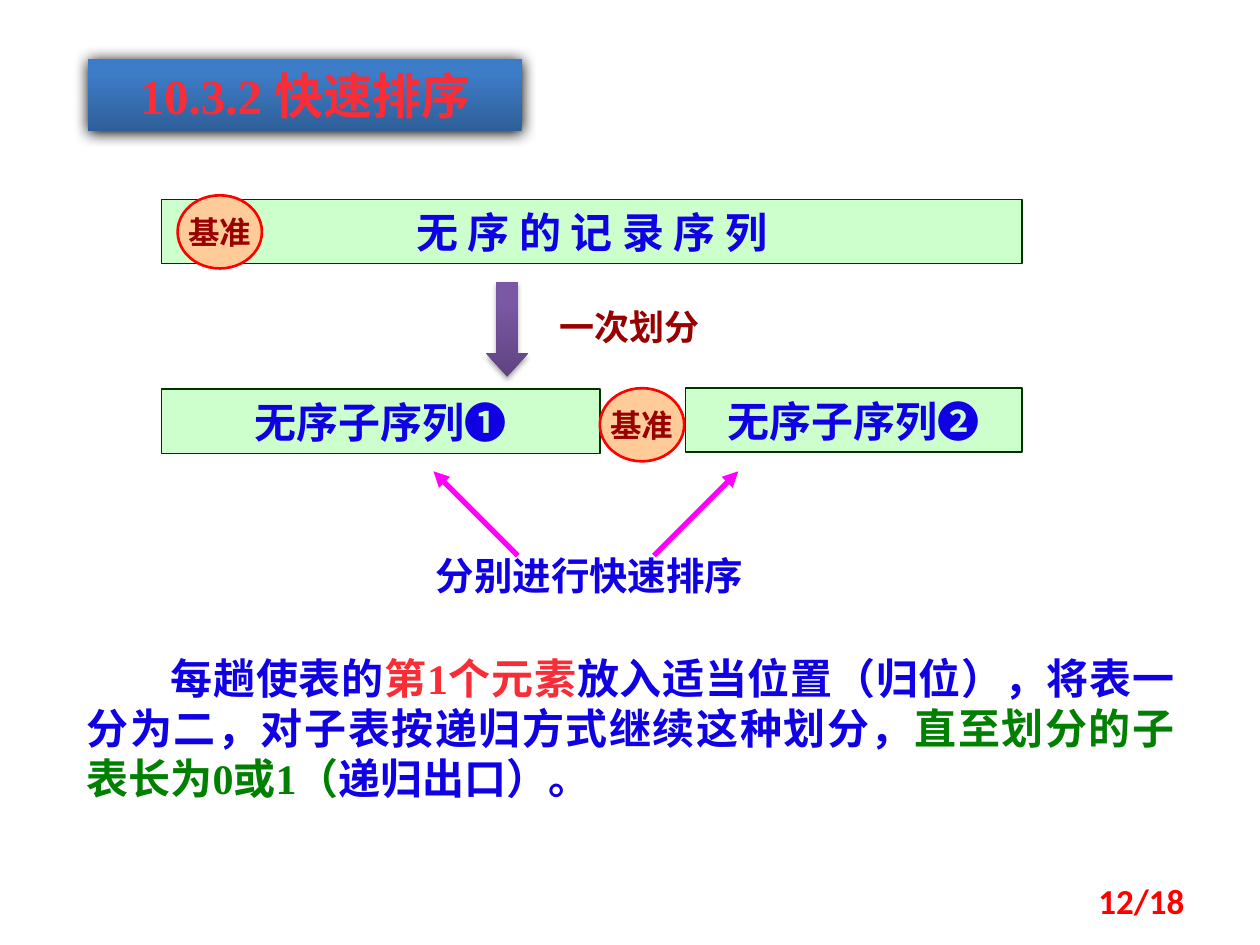
from lxml import etree
from pptx import Presentation
from pptx.dml.color import RGBColor
from pptx.enum.shapes import MSO_CONNECTOR, MSO_SHAPE
from pptx.enum.text import MSO_ANCHOR, PP_ALIGN
from pptx.oxml.ns import qn
from pptx.util import Pt

RECT, OVAL, DOWN = MSO_SHAPE.RECTANGLE, MSO_SHAPE.OVAL, MSO_SHAPE.DOWN_ARROW
LEFT, CENTER, RIGHT, JUSTIFY = (
    PP_ALIGN.LEFT, PP_ALIGN.CENTER, PP_ALIGN.RIGHT, PP_ALIGN.JUSTIFY)
TOP, MIDDLE = MSO_ANCHOR.TOP, MSO_ANCHOR.MIDDLE
SERIF, CJK, SANS = "Times New Roman", "Noto Sans CJK SC", "Calibri"
COLORS = {
    "text": "1000E4", "accent": "F92D37", "exit": "008000", "label": "990000",
    "sequence": "CCFFCC", "sequence_line": "003300",
    "pivot": "FFCC99", "pivot_line": "FF0000",
    "pointer": "FF00FF", "page": "FF0000", "shadow": "000000",
}
BLUE_STOPS = [(0, "2F5F99"), (80, "3D7CC7"), (100, "3A7CCB")]
PURPLE_STOPS = [(0, "5F4480"), (80, "7B58A6"), (100, "7C57A8")]


def rgb(name):
    return RGBColor.from_string(COLORS[name])


def write(shape, text, size=24, color="text", font=SERIF, align=CENTER,
          anchor=MIDDLE, wrap=True, inset=(7.2, 3.6)):
    """Write a string, or a list of (string, colour name) runs, in one paragraph."""
    frame = shape.text_frame
    frame.word_wrap, frame.vertical_anchor = wrap, anchor
    frame.margin_left = frame.margin_right = Pt(inset[0])
    frame.margin_top = frame.margin_bottom = Pt(inset[1])
    paragraph = frame.paragraphs[0]
    paragraph.alignment = align
    for words, run_color in [(text, color)] if isinstance(text, str) else text:
        run = paragraph.add_run()
        run.text = words
        run.font.size, run.font.bold, run.font.name = Pt(size), True, font
        run.font.color.rgb = rgb(run_color)
        east_asian = etree.SubElement(run.font._element, qn("a:ea"))
        east_asian.set("typeface", CJK)
    return paragraph


def add_label(slide, box, text, **style):
    label = slide.shapes.add_textbox(*map(Pt, box))
    return write(label, text, **style)


def add_block(slide, kind, box, fill=None, line=None, width=1):
    block = slide.shapes.add_shape(kind, *map(Pt, box))
    block.shadow.inherit = False
    if fill:
        block.fill.solid()
        block.fill.fore_color.rgb = rgb(fill)
    if line:
        block.line.color.rgb = rgb(line)
        block.line.width = Pt(width)
    else:
        block.line.fill.background()
    return block


def add_glossy_block(slide, kind, box, stops, blur, distance, opacity):
    """Add a block with an upward gradient and a soft shadow below it."""
    block = add_block(slide, kind, box)
    block.fill.gradient()
    block.fill.gradient_angle = 90
    properties = block._element.spPr
    stop_list = properties.find(qn("a:gradFill")).find(qn("a:gsLst"))
    for default_stop in list(stop_list):
        stop_list.remove(default_stop)
    for percent, color in stops:
        stop = etree.SubElement(stop_list, qn("a:gs"), pos=str(percent * 1000))
        etree.SubElement(stop, qn("a:srgbClr"), val=color)
    shadow = etree.SubElement(
        properties.find(qn("a:effectLst")), qn("a:outerShdw"),
        blurRad=str(Pt(blur)), dist=str(Pt(distance)), dir="5400000",
        algn="ctr", rotWithShape="0")
    tint = etree.SubElement(shadow, qn("a:srgbClr"), val=COLORS["shadow"])
    etree.SubElement(tint, qn("a:alpha"), val=str(opacity * 1000))
    return block


def add_sequence(slide, box, text, line_width=1):
    block = add_block(slide, RECT, box, "sequence", "sequence_line", line_width)
    write(block, text)


def add_pivot(slide, left, top):
    pivot = add_block(slide, OVAL, (left, top, 48.2, 41.8),
                      "pivot", "pivot_line", 1.5)
    write(pivot, "基准", size=18, color="label", font=CJK, wrap=False,
          inset=(0, 0))


def add_pointer(slide, start, end):
    pointer = slide.shapes.add_connector(
        MSO_CONNECTOR.STRAIGHT, *map(Pt, start + end))
    pointer.line.color.rgb = rgb("pointer")
    pointer.line.width = Pt(3)
    etree.SubElement(pointer.line._get_or_add_ln(), qn("a:tailEnd"),
                     type="triangle")
    etree.SubElement(pointer._element.spPr, qn("a:effectLst"))


def add_title(slide, box):
    banner = add_glossy_block(slide, RECT, box, BLUE_STOPS, 8.5, 1, 100)
    write(banner, "10.3.2 快速排序", size=28, color="accent")


def add_partition(slide, left, top, width):
    """Show the whole sequence, its split round the pivot, and the recursion."""
    bar, pivot_width = 36.7, 48.2
    first_width = 250.6
    pivot_left = left + first_width
    second_left = pivot_left + pivot_width + 0.7
    split_top = top + 108

    add_sequence(slide, (left, top, width, bar), "无 序 的 记 录 序 列", 0.75)
    add_pivot(slide, left + 9.3, top - 2.2)

    arrow = add_glossy_block(slide, DOWN, (left + 185.7, top + 47.5, 23.8, 54),
                             PURPLE_STOPS, 3.1, 1.8, 35)
    arrow.adjustments[1] = 0.56
    add_label(slide, (left + 220.3, top + 56.8, 95.8, 31.7), "一次划分",
              size=20, color="label", font=CJK, align=LEFT, wrap=False)

    add_sequence(slide, (left, split_top + 0.7, first_width, bar), "无序子序列❶")
    add_sequence(slide, (second_left, split_top, left + width - second_left, bar),
                 "无序子序列❷")
    add_pivot(slide, pivot_left, split_top)

    center, tip_top, reach = left + 242.6, split_top + 47.5, 48.2
    for side in (-1, 1):
        foot = center + side * 38.9
        add_pointer(slide, (foot, tip_top + reach),
                    (foot + side * reach, tip_top))
    add_label(slide, (left + 149.7, split_top + 90, 193, 33.8),
              "分别进行快速排序", size=22, font=CJK, align=LEFT, wrap=False)


def add_explanation(slide, box):
    paragraph = add_label(slide, box, [
        ("每趟使表的", "text"),
        ("第1个元素", "accent"),
        ("放入适当位置（归位），将表一分为二，对子表按递归方式继续这种划分，", "text"),
        ("直至划分的子表长为0或1（", "exit"),
        ("递归出口）。", "text"),
    ], align=JUSTIFY, anchor=TOP)
    paragraph.line_spacing = Pt(28.7)
    paragraph._p.get_or_add_pPr().set("indent", str(Pt(48)))


def main():
    deck = Presentation()
    deck.slide_width, deck.slide_height = Pt(720), Pt(540)
    slide = deck.slides.add_slide(deck.slide_layouts[6])
    add_title(slide, (50.4, 33.8, 247.7, 41))
    add_partition(slide, 92.2, 113.8, 491.8)
    add_explanation(slide, (42.5, 369.4, 635.8, 94.3))
    add_label(slide, (516.2, 500.4, 167.8, 28.8), "12/18", size=20,
              color="page", font=SANS, align=RIGHT)
    deck.save("out.pptx")


if __name__ == "__main__":
    main()
